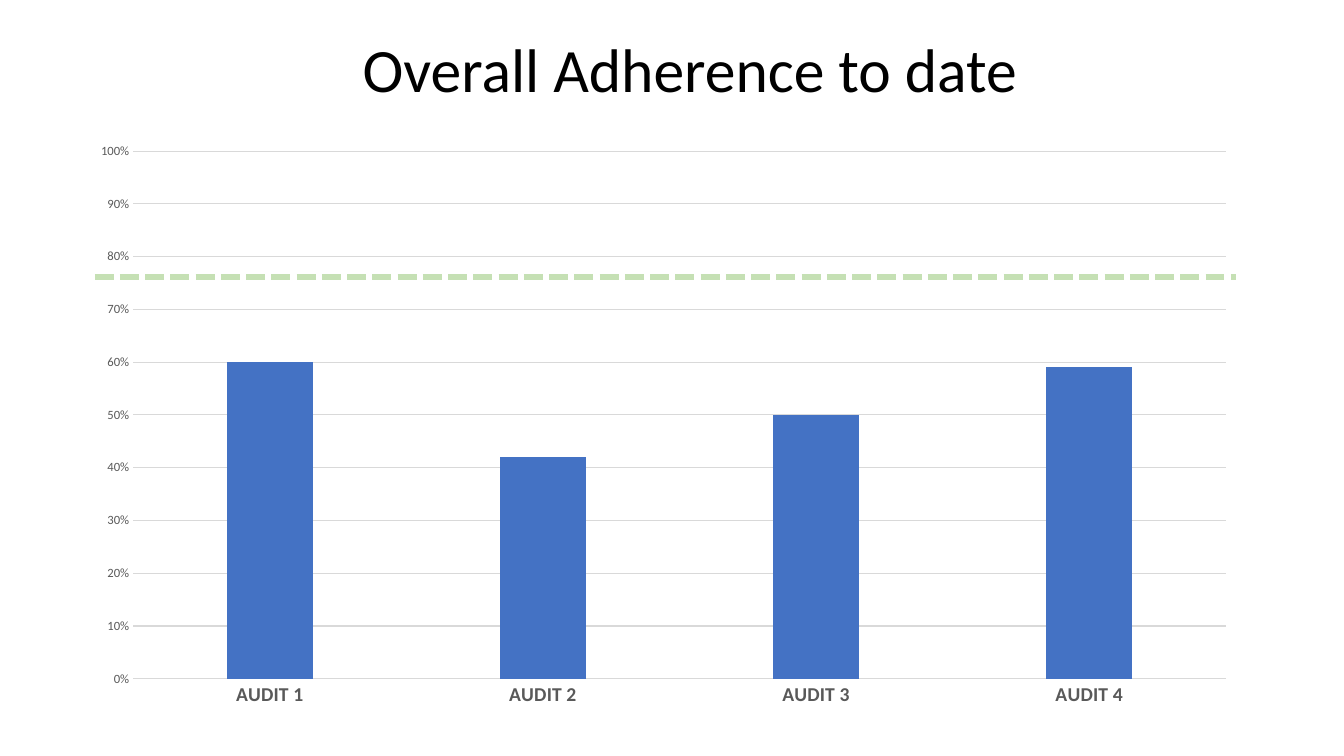
import pptx
import pptx.chart.data
import pptx.dml.color
import pptx.enum.chart
import pptx.enum.dml
import pptx.enum.shapes
import pptx.enum.text
import pptx.oxml
import pptx.oxml.ns
import pptx.util
from dataclasses import dataclass

Inches = pptx.util.Inches
Pt = pptx.util.Pt


@dataclass(frozen=True)
class Theme:
    font: str = "Calibri"
    title_size: float = 44
    audit_size: float = 14
    scale_size: float = 9
    chart_size: float = 10
    ink: str = "000000"
    label: str = "595959"
    grid: str = "D9D9D9"
    bar: str = "4472C4"
    target: str = "C5E0B4"


class SlideBuilder:
    def __init__(self, slide, theme):
        self.slide = slide
        self.theme = theme

    def color(self, value):
        return pptx.dml.color.RGBColor.from_string(value)

    def style_font(self, font, size, color, bold=False):
        font.name = self.theme.font
        font.size = Pt(size)
        font.bold = bold
        font.color.rgb = self.color(color)

    def style_line(self, line, color, width):
        line.color.rgb = self.color(color)
        line.width = Pt(width)

    def title(self, text, left, top, width, height):
        box = self.slide.shapes.add_textbox(
            Inches(left), Inches(top), Inches(width), Inches(height))
        frame = box.text_frame
        frame.word_wrap = True
        frame.vertical_anchor = pptx.enum.text.MSO_ANCHOR.MIDDLE
        heading = frame.paragraphs[0]
        heading.text = text
        heading.alignment = pptx.enum.text.PP_ALIGN.CENTER
        heading.line_spacing = 0.9
        self.style_font(heading.font, self.theme.title_size, self.theme.ink)

    def target_line(self, left, right, y):
        target = self.slide.shapes.add_connector(
            pptx.enum.shapes.MSO_CONNECTOR.STRAIGHT,
            Inches(left), Inches(y), Inches(right), Inches(y))
        self.style_line(target.line, self.theme.target, 4.5)
        target.line.dash_style = pptx.enum.dml.MSO_LINE.SQUARE_DOT
        dash = target.line._ln.find(pptx.oxml.ns.qn("a:prstDash"))
        dash.set("val", "sysDash")
        effects = pptx.oxml.parse_xml(
            f'<a:effectLst {pptx.oxml.ns.nsdecls("a")}/>')
        target._element.spPr.append(effects)

    def clear_fill(self):
        return pptx.oxml.parse_xml(
            f'<c:spPr {pptx.oxml.ns.nsdecls("c", "a")}>'
            '<a:noFill/><a:ln><a:noFill/></a:ln></c:spPr>')

    def column_chart(self, adherence, left, top, width, height):
        theme = self.theme
        audit_data = pptx.chart.data.CategoryChartData(number_format="0%")
        audit_data.categories = list(adherence)
        audit_data.add_series("Series 1", list(adherence.values()))
        chart = self.slide.shapes.add_chart(
            pptx.enum.chart.XL_CHART_TYPE.COLUMN_CLUSTERED,
            Inches(left), Inches(top), Inches(width), Inches(height),
            audit_data).chart
        chart.has_legend = False
        chart.has_title = False
        self.style_font(chart.font, theme.chart_size, theme.ink)
        chart_space = chart._chartSpace
        chart_space.find(pptx.oxml.ns.qn("c:txPr")).addprevious(self.clear_fill())
        chart_space.chart.plotArea.append(self.clear_fill())

        bars = chart.plots[0]
        bars.gap_width = 219
        bars.overlap = -27
        bars.vary_by_categories = False
        bar_fill = bars.series[0].format.fill
        bar_fill.solid()
        bar_fill.fore_color.rgb = self.color(theme.bar)

        audits = chart.category_axis
        scale = chart.value_axis
        for axis in (audits, scale):
            axis.major_tick_mark = pptx.enum.chart.XL_TICK_MARK.NONE
            axis.minor_tick_mark = pptx.enum.chart.XL_TICK_MARK.NONE
        self.style_font(audits.tick_labels.font, theme.audit_size, theme.label, True)
        self.style_line(audits.format.line, theme.grid, 0.75)
        self.style_font(scale.tick_labels.font, theme.scale_size, theme.label)
        scale.tick_labels.number_format = "0%"
        scale.tick_labels.number_format_is_linked = False
        scale.minimum_scale = 0
        scale.maximum_scale = 1
        scale.major_unit = 0.1
        scale.format.line.fill.background()
        scale.has_major_gridlines = True
        self.style_line(scale.major_gridlines.format.line, theme.grid, 0.75)


def main():
    deck = pptx.Presentation()
    deck.slide_width = Inches(13.33)
    deck.slide_height = Inches(7.5)
    builder = SlideBuilder(deck.slides.add_slide(deck.slide_layouts[6]), Theme())
    builder.title("Overall Adherence to date", 1.85, 0.18, 9.99, 1.08)
    builder.target_line(0.94, 12.26, 2.75)
    adherence = {"AUDIT 1": 0.6, "AUDIT 2": 0.42, "AUDIT 3": 0.5, "AUDIT 4": 0.59}
    builder.column_chart(adherence, 0.77, 1.31, 11.62, 5.82)
    deck.save("out.pptx")


if __name__ == "__main__":
    main()
